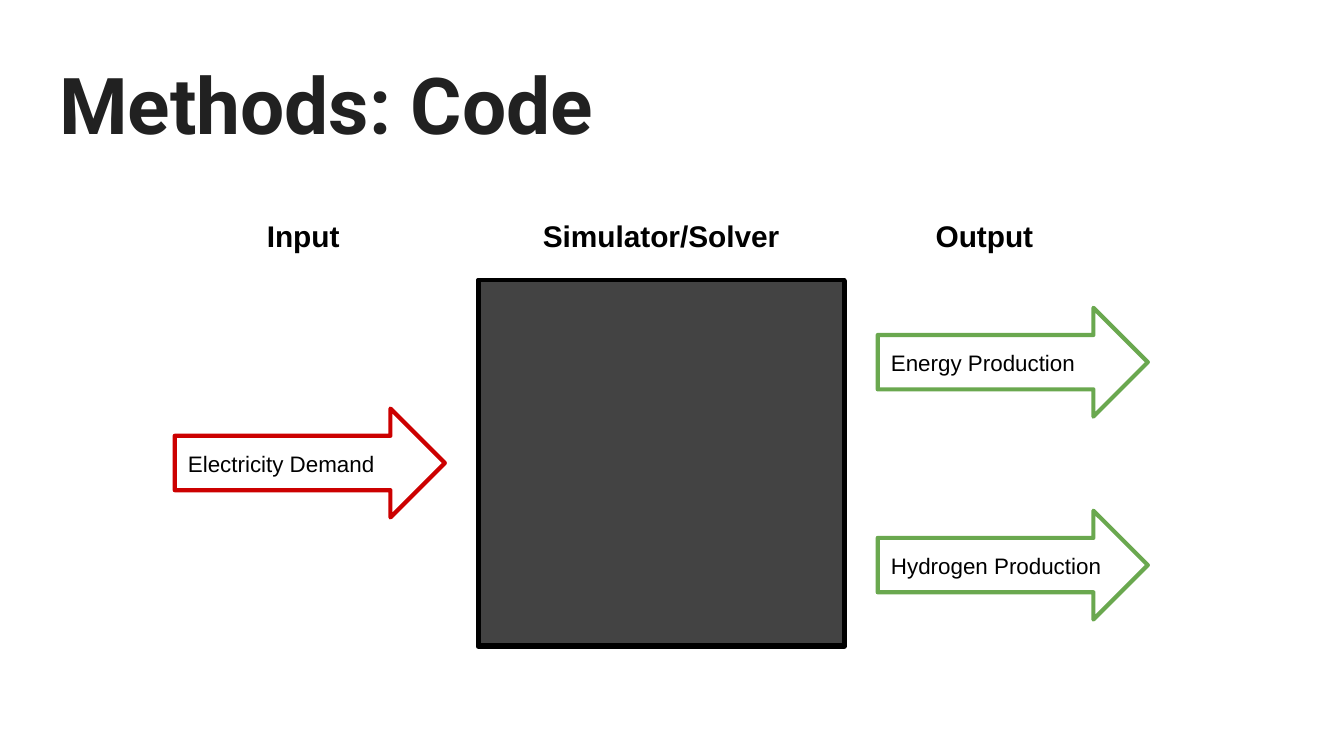
from dataclasses import dataclass

import pptx
import pptx.dml.color
import pptx.enum.shapes
import pptx.enum.text
import pptx.oxml.ns
import pptx.util
from lxml import etree
from pptx.util import Pt

COLORS = {
    "title": "212121",
    "text": "000000",
    "box": "434343",
    "input": "CC0000",
    "output": "6AA84F",
}
SHAPES = pptx.enum.shapes.MSO_SHAPE
ALIGN = pptx.enum.text.PP_ALIGN
INSET = 7.2
BOX_LEFT, BOX_TOP, BOX_SIDE = 256.3, 149.8, 195.8
HEADING_TOP, HEADING_HEIGHT = 109.4, 54
ARROW_WIDTH, ARROW_HEIGHT = 144.7, 58.3
LABEL_DROP, LABEL_HEIGHT = 15.1, 26.6


@dataclass
class Heading:
    text: str
    left: float
    width: float


@dataclass
class Flow:
    text: str
    left: float
    top: float
    label_width: float
    color: str


HEADINGS = [
    Heading("Simulator/Solver", 276.5, 155.5),
    Heading("Input", 110.2, 104.4),
    Heading("Output", 475.2, 104.4),
]
FLOWS = [
    Flow("Electricity Demand", 93.6, 218.9, 125.3, "input"),
    Flow("Energy Production", 470.2, 164.9, 125.3, "output"),
    Flow("Hydrogen Production", 470.2, 273.6, 133.2, "output"),
]


def rgb(name: str) -> pptx.dml.color.RGBColor:
    return pptx.dml.color.RGBColor.from_string(COLORS[name])


def write_text(shape, text: str, size: float, font: str, color: str,
               bold: bool = False, align=ALIGN.LEFT) -> None:
    frame = shape.text_frame
    frame.word_wrap = True
    frame.auto_size = pptx.enum.text.MSO_AUTO_SIZE.NONE
    frame.vertical_anchor = pptx.enum.text.MSO_ANCHOR.TOP
    frame.margin_left = frame.margin_right = Pt(INSET)
    frame.margin_top = frame.margin_bottom = Pt(INSET)
    para = frame.paragraphs[0]
    para.text = text
    para.alignment = align
    para.font.size = Pt(size)
    para.font.name = font
    para.font.bold = bold
    para.font.color.rgb = rgb(color)


def add_outline(page, kind, left: float, top: float, width: float,
                height: float, color: str, weight: float = 2.25):
    shape = page.shapes.add_shape(kind, Pt(left), Pt(top), Pt(width), Pt(height))
    shape.shadow.inherit = False
    shape.fill.background()
    shape.line.color.rgb = rgb(color)
    shape.line.width = Pt(weight)
    line = shape.line._get_or_add_ln()
    etree.SubElement(line, pptx.oxml.ns.qn("a:round"))
    return shape


def add_heading(page, heading: Heading) -> None:
    box = page.shapes.add_textbox(Pt(heading.left), Pt(HEADING_TOP),
                                  Pt(heading.width), Pt(HEADING_HEIGHT))
    write_text(box, heading.text, 16, "Arial", "text", True, ALIGN.CENTER)


def add_flow(page, flow: Flow) -> None:
    add_outline(page, SHAPES.RIGHT_ARROW, flow.left, flow.top,
                ARROW_WIDTH, ARROW_HEIGHT, flow.color)
    label = page.shapes.add_textbox(Pt(flow.left), Pt(flow.top + LABEL_DROP),
                                    Pt(flow.label_width), Pt(LABEL_HEIGHT))
    write_text(label, flow.text, 12, "Arial", "text")


def main() -> None:
    deck = pptx.Presentation()
    deck.slide_width, deck.slide_height = Pt(720), Pt(405)
    page = deck.slides.add_slide(deck.slide_layouts.get_by_name("Title Only"))

    # Title
    title = page.shapes.title
    title.left, title.top = Pt(24.5), Pt(23)
    title.width, title.height = Pt(671), Pt(63.4)
    write_text(title, "Methods: Code", 42, "Roboto", "title", True)

    # Black box with a heavier frame behind it
    add_outline(page, SHAPES.RECTANGLE, BOX_LEFT, BOX_TOP + 0.7,
                BOX_SIDE, BOX_SIDE, "text", 3)
    black_box = add_outline(page, SHAPES.RECTANGLE, BOX_LEFT, BOX_TOP,
                            BOX_SIDE, BOX_SIDE, "text")
    black_box.fill.solid()
    black_box.fill.fore_color.rgb = rgb("box")

    # Column headings, then input and output arrows
    for heading in HEADINGS:
        add_heading(page, heading)
    for flow in FLOWS:
        add_flow(page, flow)

    deck.save("out.pptx")


if __name__ == "__main__":
    main()
